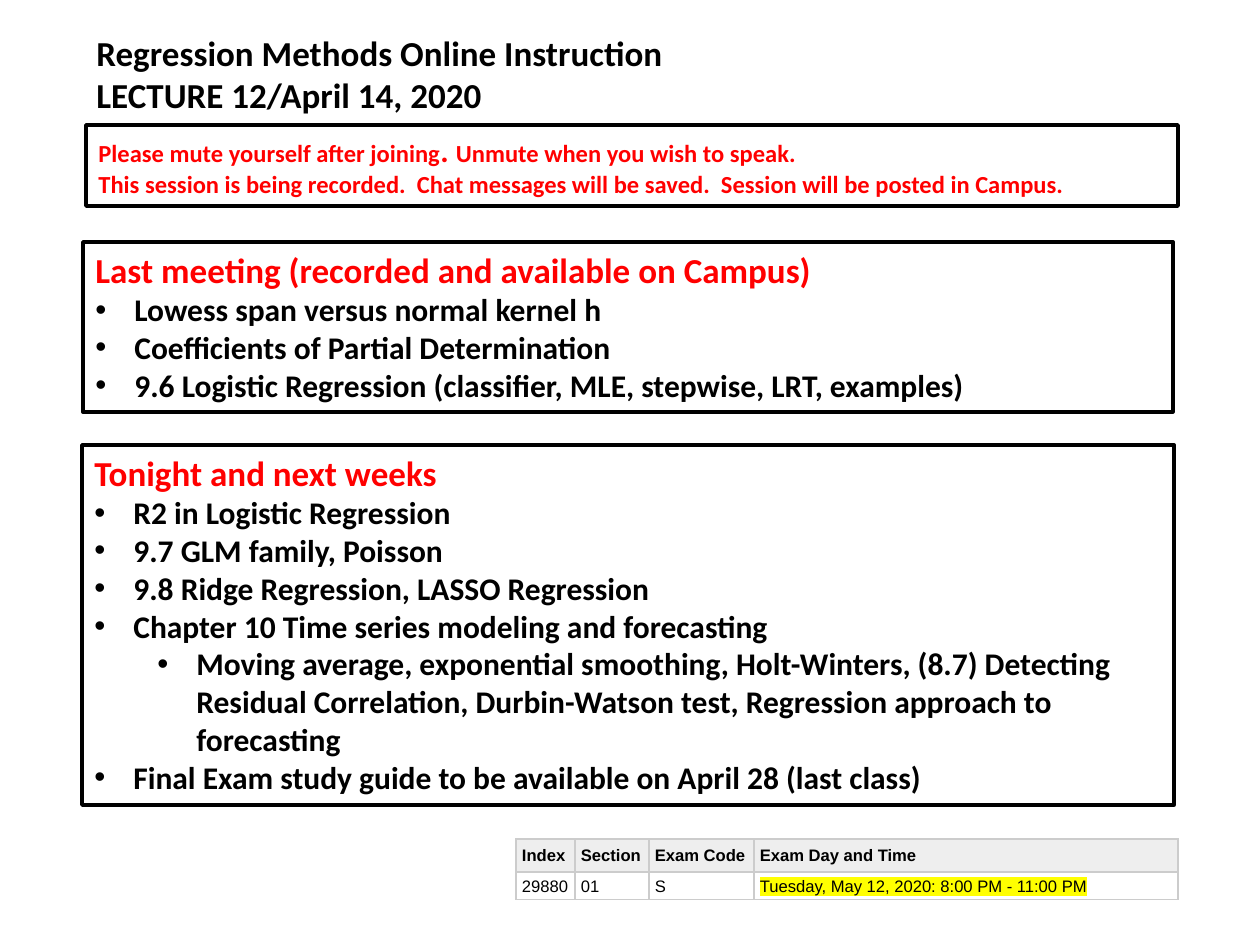
import pptx
import pptx.dml.color
import pptx.enum.shapes
import pptx.enum.text
import pptx.oxml
import pptx.oxml.ns
import pptx.util

BLACK = pptx.dml.color.RGBColor(0x00, 0x00, 0x00)
WHITE = pptx.dml.color.RGBColor(0xFF, 0xFF, 0xFF)
RED = pptx.dml.color.RGBColor(0xFF, 0x00, 0x00)
HEADER_GREY = pptx.dml.color.RGBColor(0xEE, 0xEE, 0xEE)
BORDER_GREY = pptx.dml.color.RGBColor(0xCC, 0xCC, 0xCC)
YELLOW = pptx.dml.color.RGBColor(0xFF, 0xFF, 0x00)
SCALE = 914400 / 126
INDENT = 39
LEVEL_STEP = 63


def px(length):
    """Turn pixels into EMU."""
    return pptx.util.Emu(round(length * SCALE))


def add_xml(parent, xml):
    """Append a DrawingML fragment to an element."""
    namespace = pptx.oxml.ns.nsdecls("a")
    element = pptx.oxml.parse_xml(xml.replace(" ", f" {namespace} ", 1))
    parent.append(element)
    return element


def style(para, size, colour, bold=True, name="Calibri"):
    """Set the font of a whole paragraph."""
    para.font.size = pptx.util.Pt(size)
    para.font.bold = bold
    para.font.name = name
    para.font.color.rgb = colour


def write_lines(frame, lines):
    """Write (text, size, colour, bullet level or None) as paragraphs."""
    frame.word_wrap = True
    frame.auto_size = pptx.enum.text.MSO_AUTO_SIZE.SHAPE_TO_FIT_TEXT
    frame.vertical_anchor = pptx.enum.text.MSO_ANCHOR.TOP
    for index, (text, size, colour, level) in enumerate(lines):
        para = frame.add_paragraph() if index else frame.paragraphs[0]
        para.alignment = pptx.enum.text.PP_ALIGN.LEFT
        if level is not None:
            para.level = level
            properties = para._p.get_or_add_pPr()
            properties.set("marL", str(px(INDENT + level * LEVEL_STEP)))
            properties.set("indent", str(px(-INDENT)))
            add_xml(properties, '<a:buFont typeface="Arial"/>')
            add_xml(properties, '<a:buChar char="\u2022"/>')
        para.add_run().text = text
        style(para, size, colour)


def add_heading(page, box):
    """Place the course and lecture title."""
    frame = page.shapes.add_textbox(*map(px, box)).text_frame
    write_lines(frame, [
        ("Regression Methods Online Instruction", 20, BLACK, None),
        ("LECTURE 12/April 14, 2020", 20, BLACK, None),
    ])


def add_panel(page, box, lines, fill=WHITE):
    """Place a black-framed panel of text and return its text frame."""
    panel = page.shapes.add_shape(
        pptx.enum.shapes.MSO_SHAPE.RECTANGLE, *map(px, box))
    panel.shadow.inherit = False
    if fill is None:
        panel.fill.background()
    else:
        panel.fill.solid()
        panel.fill.fore_color.rgb = fill
    panel.line.color.rgb = BLACK
    panel.line.width = pptx.util.Pt(2)
    write_lines(panel.text_frame, lines)
    return panel.text_frame


def add_agenda(page, box, title, topics, fill=WHITE):
    """Place a panel with a red title over (topic, level) bullets."""
    bullets = [(topic, 18, BLACK, level) for topic, level in topics]
    add_panel(page, box, [(title, 20, RED, None)] + bullets, fill)


def add_notice(page, box):
    """Place the red notice about muting and recording."""
    frame = add_panel(page, box, [
        ("Please mute yourself after joining", 14, RED, None),
        ("This session is being recorded.  Chat messages will be saved.  "
         "Session will be posted in Campus.", 14, RED, None),
    ])
    first = frame.paragraphs[0]
    stop = first.add_run()
    stop.text = ". "
    stop.font.size = pptx.util.Pt(18)
    first.add_run().text = "Unmute when you wish to speak."


def fill_cell(cell, text, header):
    """Write and format one cell of the exam table."""
    cell.margin_left = cell.margin_right = px(6)
    cell.margin_top = cell.margin_bottom = px(3)
    cell.vertical_anchor = pptx.enum.text.MSO_ANCHOR.MIDDLE
    properties = cell._tc.get_or_add_tcPr()
    for side in "LRTB":
        add_xml(properties, f'<a:ln{side} w="12700"><a:solidFill>'
                f'<a:srgbClr val="{BORDER_GREY}"/></a:solidFill></a:ln{side}>')
    if header:
        cell.fill.solid()
        cell.fill.fore_color.rgb = HEADER_GREY
    else:
        cell.fill.background()
    para = cell.text_frame.paragraphs[0]
    para.line_spacing = 1.07
    para.space_before = pptx.util.Pt(7.5)
    para.space_after = pptx.util.Pt(3.8)
    para.add_run().text = text
    style(para, 9.5, BLACK, header, "Arial")


def add_exam_table(page, box):
    """Place the final exam timetable, its time highlighted."""
    rows = [
        ("Index", "Section", "Exam Code", "Exam Day and Time"),
        ("29880", "01", "S", "Tuesday, May 12, 2020: 8:00 PM - 11:00 PM"),
    ]
    widths = (59, 74, 105, 424)
    heights = (33, 26)
    table = page.shapes.add_table(
        len(rows), len(widths), *map(px, box)).table
    table.horz_banding = False
    for column, width in zip(table.columns, widths):
        column.width = px(width)
    for row, height in zip(table.rows, heights):
        row.height = px(height)
    for row_index, row in enumerate(rows):
        for column_index, text in enumerate(row):
            fill_cell(table.cell(row_index, column_index), text, row_index == 0)
    span = table.cell(1, 3).text_frame.paragraphs[0].runs[0]
    add_xml(span._r.get_or_add_rPr(),
            f'<a:highlight ><a:srgbClr val="{YELLOW}"/></a:highlight>')


def build():
    """Build the lecture slide."""
    deck = pptx.Presentation()
    deck.slide_width, deck.slide_height = px(1260), px(945)
    page = deck.slides.add_slide(deck.slide_layouts[6])
    add_heading(page, (84, 25, 1008, 97))
    add_agenda(page, (83, 242, 1090, 170),
               "Last meeting (recorded and available on Campus)", [
                   ("Lowess span versus normal kernel h", 0),
                   ("Coefficients of Partial Determination", 0),
                   ("9.6 Logistic Regression (classifier, MLE, stepwise, "
                    "LRT, examples)", 0),
               ], fill=None)
    add_agenda(page, (82, 445, 1092, 360), "Tonight and next weeks", [
        ("R2 in Logistic Regression", 0),
        ("9.7 GLM family, Poisson", 0),
        ("9.8 Ridge Regression, LASSO Regression", 0),
        ("Chapter 10 Time series modeling and forecasting", 0),
        ("Moving average, exponential smoothing, Holt-Winters, (8.7) "
         "Detecting Residual Correlation, Durbin-Watson test, Regression "
         "approach to forecasting", 1),
        ("Final Exam study guide to be available on April 28 (last class)", 0),
    ])
    add_notice(page, (86, 125, 1092, 81))
    add_exam_table(page, (516, 839, 662, 59))
    deck.save("out.pptx")


build()
